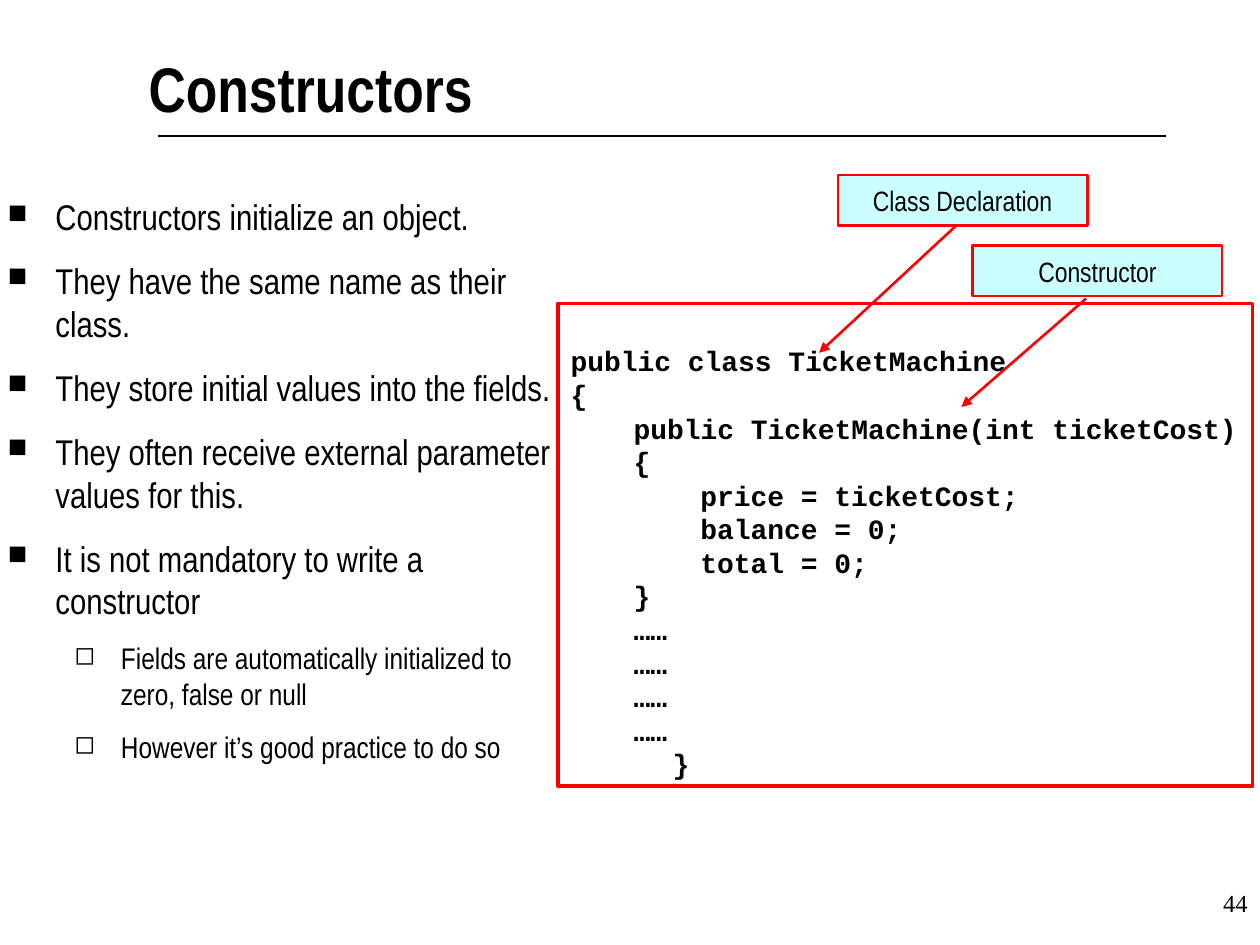
from lxml.etree import SubElement
from pptx import Presentation
from pptx.dml.color import RGBColor
from pptx.enum.shapes import MSO_CONNECTOR, MSO_SHAPE
from pptx.enum.text import MSO_ANCHOR, PP_ALIGN
from pptx.oxml.ns import qn
from pptx.util import Inches, Pt

BLACK, WHITE, RED, CYAN = "000000", "FFFFFF", "FF0000", "CCFFFF"
NARROW = "Arial Narrow"
BULLET_STYLES = [
    {"size": 20.4, "left": 0.38, "hanging": 0.38, "before": 12, "mark": "■", "percent": 75},
    {"size": 17, "left": 0.9, "hanging": 0.37, "before": 10, "mark": "◻", "percent": 85},
]
BULLETS = [
    (0, "Constructors initialize an object."),
    (0, "They have the same name as their class."),
    (0, "They store initial values into the fields."),
    (0, "They often receive external parameter values for this."),
    (0, "It is not mandatory to write a constructor"),
    (1, "Fields are automatically initialized to zero, false or null"),
    (1, "However it’s good practice to do so"),
]
CODE_LINES = [
    (0, "public class TicketMachine"),
    (0, "{"),
    (0.5, "public TicketMachine(int ticketCost)"),
    (0.5, "{"),
    (1.03, "price = ticketCost;"),
    (1.03, "balance = 0;"),
    (1.03, "total = 0;"),
    (0.5, "}"),
    *[(0.5, "……")] * 4,
    (0.81, "}"),
]


def color(hex_string):
    """Turn a hex string into a colour."""
    return RGBColor.from_string(hex_string)


def write(paragraph, text, size, font=NARROW, bold=False, align=PP_ALIGN.LEFT):
    """Fill a paragraph and format its runs."""
    paragraph.text = text
    paragraph.alignment = align
    for run in paragraph.runs:
        run.font.name = font
        run.font.size = Pt(size)
        run.font.bold = bold
        run.font.color.rgb = color(BLACK)


def indent(paragraph, left, hanging=0):
    """Set the left margin and hanging indent in inches."""
    properties = paragraph._p.get_or_add_pPr()
    properties.set("marL", str(Inches(left)))
    properties.set("indent", str(Inches(-hanging)))
    return properties


def paragraphs_for(frame, count):
    """Return the given number of paragraphs in a text frame."""
    for _ in range(count - 1):
        frame.add_paragraph()
    return frame.paragraphs


def add_text_frame(slide, box, inset_x=0, inset_y=0):
    """Add a wrapping text box and return its frame."""
    frame = slide.shapes.add_textbox(*map(Inches, box)).text_frame
    frame.word_wrap = True
    frame.margin_left = frame.margin_right = Inches(inset_x)
    frame.margin_top = frame.margin_bottom = Inches(inset_y)
    return frame


def add_box(slide, box, fill, line_width):
    """Add a red-framed rectangle."""
    shape = slide.shapes.add_shape(MSO_SHAPE.RECTANGLE, *map(Inches, box))
    shape.shadow.inherit = False
    shape.fill.solid()
    shape.fill.fore_color.rgb = color(fill)
    shape.line.color.rgb = color(RED)
    shape.line.width = Pt(line_width)
    shape.text_frame.word_wrap = True
    return shape


def add_line(slide, start, end, line_color, width, arrow=False):
    """Add a straight line, optionally with an arrowhead at its end."""
    connector = slide.shapes.add_connector(
        MSO_CONNECTOR.STRAIGHT, *map(Inches, (*start, *end)))
    connector.line.color.rgb = color(line_color)
    connector.line.width = Pt(width)
    if arrow:
        SubElement(connector.line._get_or_add_ln(), qn("a:tailEnd"), type="triangle")
    SubElement(connector._element.spPr, qn("a:effectLst"))


def add_title(slide, box, text):
    """Add the slide title and the rule below it."""
    add_line(slide, (1.25, 1.08), (9.25, 1.08), BLACK, 0.75)
    write(add_text_frame(slide, box).paragraphs[0], text, 36, bold=True)


def add_page_number(slide, box, number):
    """Add the page number."""
    frame = add_text_frame(slide, box, 0.1, 0.05)
    write(frame.paragraphs[0], number, 14, "Times New Roman", align=PP_ALIGN.RIGHT)


def add_bullets(slide, box, bullets):
    """Add the two-level bullet list."""
    frame = add_text_frame(slide, box)
    for paragraph, (level, text) in zip(paragraphs_for(frame, len(bullets)), bullets):
        style = BULLET_STYLES[level]
        write(paragraph, text, style["size"])
        paragraph.level = level
        paragraph.space_before = Pt(style["before"])
        properties = indent(paragraph, style["left"], style["hanging"])
        SubElement(properties, qn("a:buSzPct"), val=str(style["percent"] * 1000))
        SubElement(properties, qn("a:buChar"), char=style["mark"])


def add_code(slide, box, lines):
    """Add the framed code listing."""
    frame = add_box(slide, box, WHITE, 2).text_frame
    frame.vertical_anchor = MSO_ANCHOR.TOP
    frame.margin_top = Inches(0.32)
    for paragraph, (left, text) in zip(paragraphs_for(frame, len(lines)), lines):
        write(paragraph, text, 16, "Courier New", bold=True)
        indent(paragraph, left)


def add_callout(slide, box, text, start, end):
    """Add a label and the arrow from it to the code."""
    add_line(slide, start, end, RED, 1.5, arrow=True)
    frame = add_box(slide, box, CYAN, 1.5).text_frame
    frame.vertical_anchor = MSO_ANCHOR.MIDDLE
    write(frame.paragraphs[0], text, 16, align=PP_ALIGN.CENTER)


def main():
    """Build and save the slide."""
    presentation = Presentation()
    presentation.slide_width, presentation.slide_height = Inches(10), Inches(7.5)
    slide = presentation.slides.add_slide(presentation.slide_layouts[6])
    add_title(slide, (1.18, 0.39, 7.65, 0.75), "Constructors")
    add_page_number(slide, (7.92, 7, 2.08, 0.5), "44")
    add_bullets(slide, (0.06, 1.55, 4.39, 4.5), BULLETS)
    add_code(slide, (4.43, 2.41, 5.51, 3.83), CODE_LINES)
    add_callout(slide, (7.72, 1.95, 1.98, 0.4), "Constructor", (8.62, 2.37), (7.63, 3.23))
    add_callout(slide, (6.65, 1.39, 1.98, 0.4), "Class Declaration", (7.59, 1.79), (6.5, 2.8))
    presentation.save("out.pptx")


if __name__ == "__main__":
    main()
